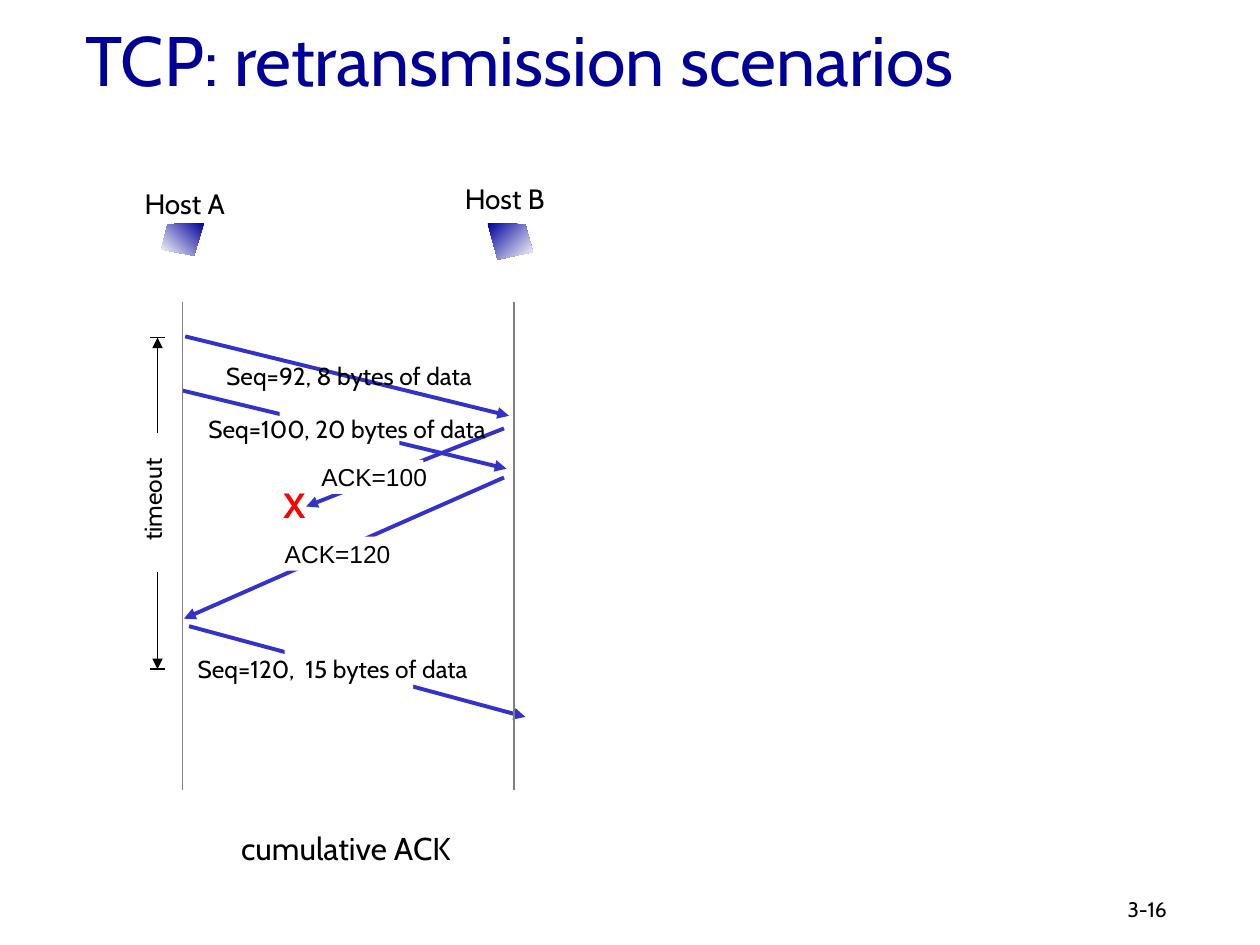
from dataclasses import dataclass

from lxml.etree import SubElement
from pptx import Presentation
from pptx.dml.color import RGBColor as RGB
from pptx.enum.shapes import MSO_CONNECTOR as LINK, MSO_SHAPE as SHAPE
from pptx.enum.text import MSO_ANCHOR as ANCHOR, PP_ALIGN as ALIGN
from pptx.oxml.ns import qn
from pptx.util import Inches, Pt


@dataclass(frozen=True)
class Theme:
    font: str = "Cabin"
    ack_font: str = "Arial"
    title: RGB = RGB(0x00, 0x00, 0x99)
    ink: RGB = RGB(0x00, 0x00, 0x00)
    loss: RGB = RGB(0xFF, 0x00, 0x00)
    arrow: RGB = RGB(0x33, 0x33, 0xCC)
    life: RGB = RGB(0x80, 0x80, 0x80)
    paper: RGB = RGB(0xFF, 0xFF, 0xFF)
    head: int = 40
    mark: int = 20
    note: int = 18
    host: int = 16
    label: int = 14
    page: int = 12
    thick: float = 2.25
    thin: float = 0.75


T = Theme()
deck = Presentation()
deck.slide_width, deck.slide_height = Inches(10), Inches(7.5)
slide = deck.slides.add_slide(deck.slide_layouts[6])
shapes = slide.shapes


def add_text(text, at, size=T.label, font=T.font, color=T.ink, bold=False,
             align=ALIGN.CENTER, anchor=ANCHOR.TOP, wrap=False):
    box = shapes.add_textbox(*map(Inches, at))
    frame = box.text_frame
    frame.word_wrap = wrap
    frame.vertical_anchor = anchor
    para = frame.paragraphs[0]
    para.alignment = align
    run = para.add_run()
    run.text = text
    run.font.name, run.font.size, run.font.bold = font, Pt(size), bold
    run.font.color.rgb = color
    return box


def add_line(start, end, color=T.ink, width=T.thin, arrow=False):
    line = shapes.add_connector(LINK.STRAIGHT, *map(Inches, start + end))
    line.line.color.rgb = color
    line.line.width = Pt(width)
    props = line.element.spPr
    if arrow:
        SubElement(props.find(qn("a:ln")), qn("a:tailEnd"), type="triangle")
    SubElement(props, qn("a:effectLst"))


# Title, page number and caption
add_text("TCP: retransmission scenarios", (0.58, 0.05, 8.5, 0.83), size=T.head,
         color=T.title, align=ALIGN.LEFT, anchor=ANCHOR.MIDDLE, wrap=True)
add_text("3-16", (8.85, 7.07, 0.99, 0.3), size=T.page, align=ALIGN.LEFT, wrap=True)
add_text("cumulative ACK", (1.79, 6.53, 1.91, 0.4), size=T.note)

# Segments and ACKs sent between the hosts
for start, end in [
    ((1.5, 4.97), (4.17, 5.69)),
    ((1.47, 2.67), (4.04, 3.3)),
    ((4, 3.4), (2.43, 4.02)),
    ((1.45, 3.1), (4.02, 3.72)),
    ((4, 3.79), (1.46, 4.91)),
]:
    add_line(start, end, T.arrow, T.thick, arrow=True)

# Gaps in the arrows behind the labels
for at in [
    (2.54, 3.65, 0.82, 0.27),
    (2.26, 5.05, 1.02, 0.56),
    (2.22, 3.18, 0.95, 0.44),
    (2.25, 4.26, 0.82, 0.27),
]:
    gap = shapes.add_shape(SHAPE.RECTANGLE, *map(Inches, at))
    gap.shadow.inherit = False
    gap.fill.solid()
    gap.fill.fore_color.rgb = T.paper
    gap.line.fill.background()

# Hosts: name, lifeline and icon
for name, at, x, angle, points in [
    ("Host A", (1.04, 1.43, 0.85, 0.37), 1.45, 225,
     [(1.62, 1.77), (1.33, 1.78), (1.28, 1.98), (1.54, 2.03)]),
    ("Host B", (3.58, 1.39, 0.85, 0.37), 4.08, 315,
     [(3.87, 1.77), (4.17, 1.78), (4.23, 2), (3.95, 2.06)]),
]:
    add_text(name, at, size=T.host)
    add_line((x, 2.4), (x, 6.27), T.life)
    first, *rest = [(Inches(px), Inches(py)) for px, py in points]
    path = shapes.build_freeform(*first)
    path.add_line_segments(rest, close=True)
    icon = path.convert_to_shape()
    icon.shadow.inherit = False
    icon.line.fill.background()
    icon.fill.gradient()
    icon.fill.gradient_angle = angle
    for stop, color, pos in zip(icon.fill.gradient_stops, (T.title, T.paper), (0, 1)):
        stop.color.rgb = color
        stop.position = pos

# Message labels
add_text("Seq=92, 8 bytes of data", (1.63, 2.82, 2.28, 0.33))
add_text("Seq=100, 20 bytes of data", (1.51, 3.24, 2.49, 0.33))
add_text("Seq=120,  15 bytes of data", (1.47, 5.14, 2.9, 0.33), align=ALIGN.LEFT, wrap=True)
add_text("ACK=100", (2.45, 3.62, 1.04, 0.33), font=T.ack_font)
add_text("ACK=120", (2.16, 4.23, 1.04, 0.33), font=T.ack_font)
add_text("X", (2.14, 3.79, 0.39, 0.43), size=T.mark, color=T.loss, bold=True)

# Timeout span, its label reading upwards
timer = add_text("timeout", (1.04, 3.64, 0.43, 0.75))
timer.rotation = 180
timer.element.find(qn("p:txBody")).find(qn("a:bodyPr")).set("vert", "eaVert")
for inner, outer in [(3.44, 2.68), (4.54, 5.31)]:
    add_line((1.25, inner), (1.25, outer), arrow=True)
    add_line((1.19, outer), (1.31, outer))

deck.save("out.pptx")
